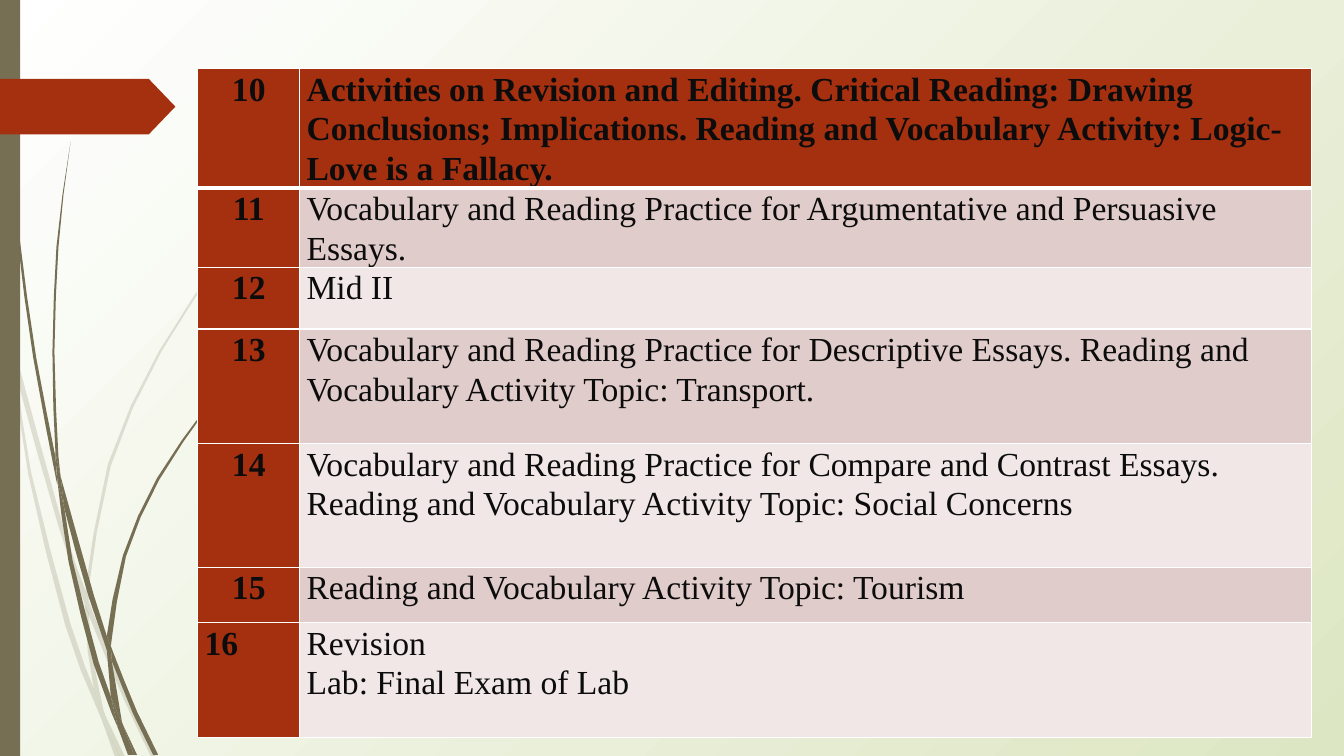
from lxml import etree
from math import dist
from pptx import Presentation, util as u
from pptx.dml.color import RGBColor
from pptx.enum import shapes, text
from pptx.oxml import ns, parse_xml

WHITE = RGBColor(0xFF, 0xFF, 0xFF)
PALE_GREEN = RGBColor(0xDD, 0xE6, 0xC3)
OLIVE = RGBColor(0x76, 0x6F, 0x54)
RUST = RGBColor(0xA5, 0x30, 0x10)
ROSE = RGBColor(0xE0, 0xCC, 0xCA)
BLUSH = RGBColor(0xF0, 0xE7, 0xE6)
INK = RGBColor(0x0C, 0x0C, 0x0C)

GRASS_UNIT = 0.72
LONG_SPAN = 60

PALE_BLADES = [
    ([(0, 282), (0, 299), (10, 344), (11, 350)], [(0, 282), (9, 322), (11, 350)]),
    ([(14, 345), (17, 376), (58, 522), (84, 599)], [(14, 345), (62, 520), (85, 586)]),
    ([(88, 596), (88, 610), (123, 694), (150, 751)], [(88, 596), (92, 607), (127, 692), (155, 751)]),
    ([(105, 711), (119, 751)], [(105, 711), (124, 751)]),
    ([(11, 350), (28, 470), (65, 621), (92, 693), (101, 714)],
     [(11, 350), (17, 376), (31, 469), (70, 619), (93, 683), (99, 707), (101, 714)]),
    ([(84, 599), (87, 646), (93, 683), (96, 692), (105, 711)],
     [(84, 599), (88, 608), (91, 646), (103, 706), (105, 711)]),
    ([(312, 153), (289, 175), (268, 197), (228, 244), (158, 348), (107, 461), (85, 584), (85, 586)],
     [(312, 154), (290, 175), (268, 198), (229, 245), (160, 349), (110, 462), (88, 584), (88, 596)]),
    ([(101, 714), (114, 751)], [(101, 714), (119, 751)]),
    ([(85, 586), (84, 599), (88, 610)], [(85, 586), (88, 596), (88, 610)]),
    ([(93, 683), (99, 707), (101, 714), (119, 751)], [(93, 683), (96, 692), (105, 711), (119, 751)]),
]

DARK_BLADES = [
    ([(3, 0), (4, 48), (7, 110), (17, 233), (33, 355), (56, 477), (57, 481)],
     [(4, 0), (5, 48), (8, 109), (19, 232), (36, 355), (55, 453), (57, 481)]),
    ([(60, 472), (64, 505), (88, 592), (106, 645)], [(60, 472), (93, 590), (106, 631), (106, 645)]),
    ([(110, 641), (111, 656), (132, 708), (152, 749)], [(110, 641), (113, 649), (136, 706), (157, 749)]),
    ([(57, 477), (68, 557), (93, 659), (111, 708), (117, 722)],
     [(57, 477), (64, 505), (72, 556), (98, 657), (110, 691), (116, 717), (117, 722)]),
    ([(70, 141), (62, 193), (56, 245), (52, 349), (55, 449), (60, 472)],
     [(70, 141), (63, 193), (58, 245), (54, 349), (58, 453), (60, 472)]),
    ([(122, 719), (133, 749)], [(122, 719), (136, 749)]),
    ([(55, 449), (55, 453), (57, 477), (64, 505)], [(55, 449), (60, 472), (64, 505)]),
    ([(260, 344), (245, 358), (231, 373), (204, 405), (156, 474), (122, 551), (106, 631), (110, 641)],
     [(261, 344), (245, 359), (231, 374), (205, 406), (158, 476), (125, 552), (111, 633), (110, 641)]),
    ([(117, 722), (127, 749)], [(117, 722), (131, 749)]),
    ([(106, 645), (110, 691), (116, 706), (122, 719)],
     [(106, 645), (109, 651), (111, 656), (121, 716), (122, 719)]),
    ([(106, 631), (106, 645), (111, 656)], [(106, 631), (110, 641), (111, 656)]),
    ([(110, 691), (116, 717), (117, 722), (130, 749)], [(110, 691), (116, 706), (122, 719), (133, 749)]),
]

SYLLABUS = [
    (82, "10", "Activities on Revision and Editing. Critical Reading: Drawing Conclusions; "
     "Implications. Reading and Vocabulary Activity: Logic- Love is a Fallacy."),
    (39.6, "11", "Vocabulary and Reading Practice for Argumentative and Persuasive Essays."),
    (44, "12", "Mid II"),
    (81.8, "13", "Vocabulary and Reading Practice for Descriptive Essays. "
     "Reading and Vocabulary Activity Topic: Transport."),
    (88.4, "14", "Vocabulary and Reading Practice for Compare and Contrast Essays. "
     "Reading and Vocabulary Activity Topic: Social Concerns"),
    (39.6, "15", "Reading and Vocabulary Activity Topic: Tourism"),
    (82, "16", "Revision\nLab: Final Exam of Lab"),
]


def apply_format(target, values):
    """Set each named attribute of the target."""
    for name, value in values.items():
        setattr(target, name, value)


def paint(shape, color):
    """Give a shape a flat fill without line or shadow."""
    shape.shadow.inherit = False
    shape.fill.solid()
    shape.fill.fore_color.rgb = color
    shape.line.fill.background()


def smooth_edge(knots):
    """Return the knots with a curved midpoint in each long span."""
    padded = [knots[0], *knots, knots[-1]]
    points = [knots[0]]
    for a, b, c, d in zip(padded, padded[1:], padded[2:], padded[3:]):
        if dist(b, c) > LONG_SPAN:
            points.append(tuple((9 * (q + r) - p - s) / 16 for p, q, r, s in zip(a, b, c, d)))
        points.append(c)
    return points


def draw_grass(slide, left, top, blades, opacity):
    """Draw one group of grass blades from its left and right edges."""
    group = slide.shapes.add_group_shape()
    for left_edge, right_edge in blades:
        outline = dict.fromkeys(smooth_edge(left_edge) + smooth_edge(right_edge)[::-1])
        points = [(u.Pt(left + x * GRASS_UNIT), u.Pt(top + y * GRASS_UNIT)) for x, y in outline]
        builder = group.shapes.build_freeform(*points[0])
        builder.add_line_segments(points[1:], close=True)
        blade = builder.convert_to_shape()
        paint(blade, OLIVE)
        if opacity < 100:
            color = blade._element.spPr.find(".//" + ns.qn("a:srgbClr"))
            etree.SubElement(color, ns.qn("a:alpha"), val=str(opacity * 1000))


def draw_background(slide):
    """Fill the slide with a gradient that spreads from its top left corner."""
    fill = slide.background.fill
    fill.gradient()
    for stop, color in zip(fill.gradient_stops, (WHITE, PALE_GREEN)):
        stop.color.rgb = color
    gradient = slide._element.find(".//" + ns.qn("a:gradFill"))
    gradient.remove(gradient.find(ns.qn("a:lin")))
    gradient.append(parse_xml(
        f'<a:path {ns.nsdecls("a")} path="circle"><a:fillToRect r="100000" b="100000"/></a:path>'))


def draw_side_decoration(slide, left, top, height):
    """Draw the grass, the side bar and the arrow tag."""
    draw_grass(slide, left, top, PALE_BLADES, 20)
    draw_grass(slide, left, top, DARK_BLADES, 100)
    preset = shapes.MSO_SHAPE
    bar = slide.shapes.add_shape(preset.RECTANGLE, u.Pt(left), u.Pt(top), u.Pt(14.4), u.Pt(height))
    paint(bar, OLIVE)
    tag = slide.shapes.add_shape(
        preset.PENTAGON, u.Pt(left), u.Pt(top + 56.3), u.Pt(125.3), u.Pt(39.8))
    tag.adjustments[0] = 0.48
    paint(tag, RUST)


def set_borders(cell, widths):
    """Draw white cell borders, in the order left, right, top, bottom."""
    properties = cell._tc.get_or_add_tcPr()
    for index, (side, width) in enumerate(zip("LRTB", widths)):
        properties.insert(index, parse_xml(
            f'<a:ln{side} {ns.nsdecls("a")} w="{u.Pt(width)}"><a:solidFill>'
            f'<a:srgbClr val="{WHITE}"/></a:solidFill></a:ln{side}>'))


def fill_cell(cell, words, color, bold, alignment):
    """Write and format one table cell."""
    apply_format(cell, {"text": words, "margin_left": u.Pt(4.9), "margin_right": u.Pt(4.9),
                        "margin_top": 0, "margin_bottom": 0})
    cell.fill.solid()
    cell.fill.fore_color.rgb = color
    for paragraph in cell.text_frame.paragraphs:
        apply_format(paragraph, {"alignment": alignment, "line_spacing": 1.07})
        for run in paragraph.runs:
            apply_format(run.font, {"name": "Times New Roman", "size": u.Pt(24), "bold": bold})
            run.font.color.rgb = INK


def draw_syllabus(slide, left, top, column_widths):
    """Draw the table of weeks and topics."""
    height = sum(row[0] for row in SYLLABUS)
    table = slide.shapes.add_table(len(SYLLABUS), 2, u.Pt(left), u.Pt(top),
                                   u.Pt(sum(column_widths)), u.Pt(height)).table
    table.horz_banding = False
    for column, width in zip(table.columns, column_widths):
        column.width = u.Pt(width)
    for index, (row_height, week, topic) in enumerate(SYLLABUS):
        table.rows[index].height = u.Pt(row_height)
        is_first, is_last = index == 0, index == len(SYLLABUS) - 1
        topic_color = RUST if is_first else (BLUSH, ROSE)[index % 2]
        week_alignment = text.PP_ALIGN.LEFT if is_last else text.PP_ALIGN.CENTER
        week_cell, topic_cell = table.cell(index, 0), table.cell(index, 1)
        fill_cell(week_cell, week, RUST, True, week_alignment)
        fill_cell(topic_cell, topic, topic_color, is_first, text.PP_ALIGN.LEFT)
        for cell in (week_cell, topic_cell):
            set_borders(cell, (1, 1, 3 if index == 1 else 1, 3 if is_first else 1))


def main():
    """Build the syllabus slide and save it."""
    presentation = Presentation()
    apply_format(presentation, {"slide_width": u.Pt(960), "slide_height": u.Pt(540)})
    slide = presentation.slides.add_slide(presentation.slide_layouts[6])
    draw_background(slide)
    draw_side_decoration(slide, 0, 0, 540)
    draw_syllabus(slide, 141.3, 49.1, (72.8, 723))
    presentation.save("out.pptx")


if __name__ == "__main__":
    main()
